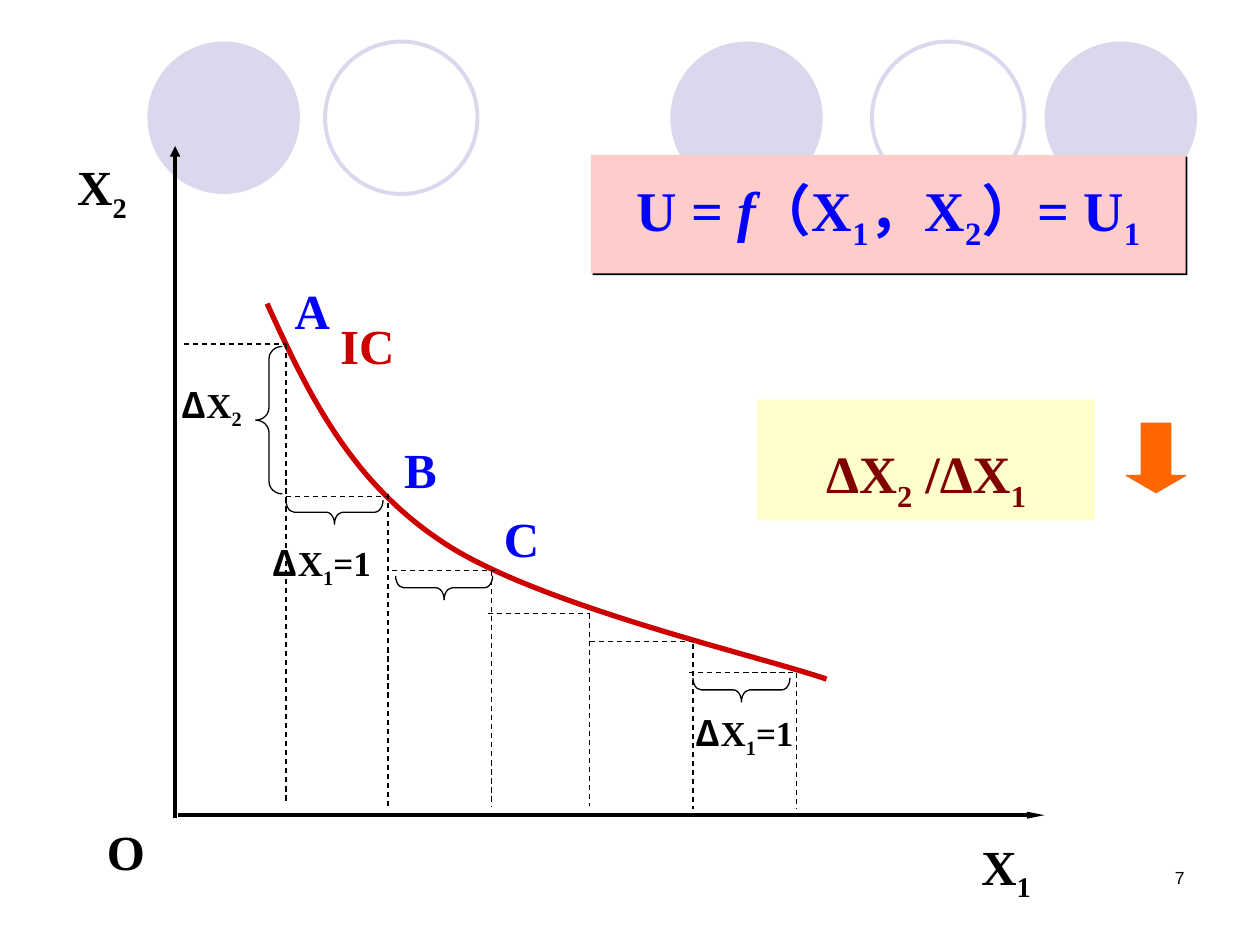
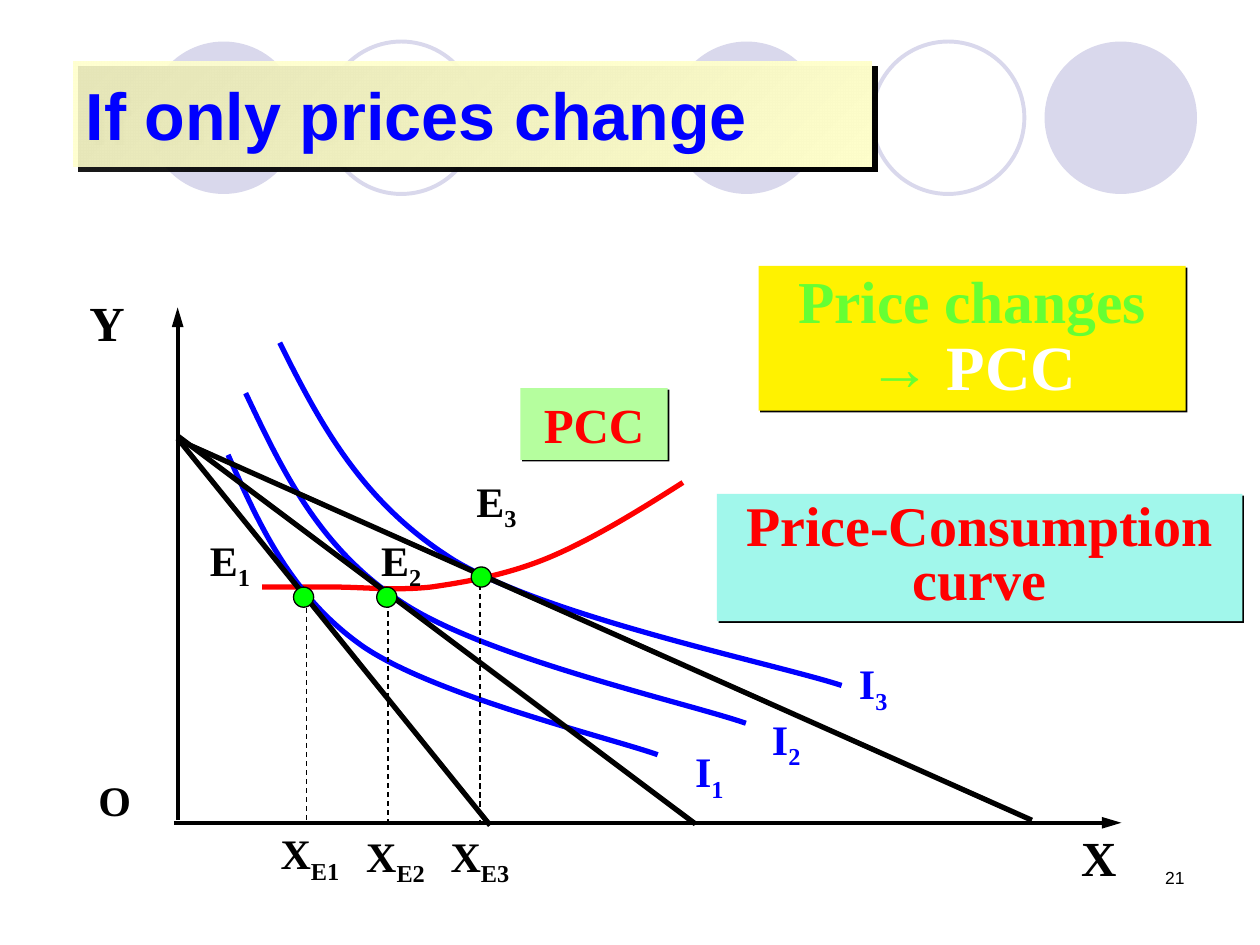
from lxml.etree import SubElement
from pptx import Presentation
from pptx.dml.color import RGBColor
from pptx.enum.dml import MSO_LINE
from pptx.enum.shapes import MSO_CONNECTOR, MSO_SHAPE as SHAPE
from pptx.enum.text import MSO_ANCHOR as ANCHOR, PP_ALIGN as ALIGN
from pptx.oxml.ns import qn
from pptx.util import Pt

PX = 9144
TITLE_ONLY, BLANK = 5, 6
SERIF, SANS, CJK = "Times New Roman", "Arial", "Noto Sans CJK SC"
BLACK, WHITE, BLUE, RED = "000000", "FFFFFF", "0000FF", "FF0000"
LILAC, CRIMSON, MAROON, ORANGE = "D9D8EC", "CC0000", "800000", "FF6600"
PINK, CREAM, YELLOW, AQUA = "FFCCCC", "FFFFCC", "FFF200", "A1F7EB"
MINT, LIME, GREEN = "B5FE9E", "66FF33", "00FF00"
DELTA = ("Δ", {"name": CJK})


def rgb(value):
    return RGBColor.from_string(value)


class Deck:
    def __init__(self):
        self.prs = Presentation()
        self.prs.slide_width = 1000 * PX
        self.prs.slide_height = 750 * PX
        self.s = None

    def slide(self, number, layout):
        self.s = self.prs.slides.add_slide(self.prs.slide_layouts[layout])
        for x in (532, 829, 117):
            self.shape(SHAPE.OVAL, (x, 33, 121, 121), fill=LILAC)
        for x in (692, 258):
            self.shape(SHAPE.OVAL, (x, 33, 121, 121), line=LILAC, weight=2.25)
        self.text((717, 683, 233, 50), str(number), size=10, font=SANS,
                  bold=False, align=ALIGN.RIGHT, pad=(10, 5))

    def outline(self, sp, color, weight):
        if color:
            sp.line.color.rgb = rgb(color)
            sp.line.width = Pt(weight)
        else:
            sp.line.fill.background()

    def shadow(self, sp, distance):
        sp.shadow.inherit = False
        effects = sp._element.spPr.find(qn("a:effectLst"))
        outer = SubElement(effects, qn("a:outerShdw"), blurRad="0",
                           dist=str(Pt(distance)), dir="2700000",
                           algn="ctr", rotWithShape="0")
        SubElement(outer, qn("a:srgbClr"), val=BLACK)

    def shape(self, kind, box, fill=None, line=None, weight=0.75,
              adjust=(), turn=0):
        sp = self.s.shapes.add_shape(kind, *[v * PX for v in box])
        sp.shadow.inherit = False
        sp.rotation = turn
        for i, value in enumerate(adjust):
            sp.adjustments[i] = value
        if fill:
            sp.fill.solid()
            sp.fill.fore_color.rgb = rgb(fill)
        else:
            sp.fill.background()
        self.outline(sp, line, weight)
        return sp

    def fill_text(self, tf, *parts, size=28, color=BLACK, font=SERIF,
                  bold=True, align=ALIGN.CENTER, anchor=ANCHOR.TOP,
                  pad=(0, 0), spacing=None, before=None, wrap=True):
        tf.word_wrap = wrap
        tf.vertical_anchor = anchor
        tf.margin_left = tf.margin_right = pad[0] * PX
        tf.margin_top = tf.margin_bottom = pad[1] * PX
        p = tf.paragraphs[0]
        p.alignment = align
        if spacing:
            p.line_spacing = spacing
        if before:
            p.space_before = Pt(before)
        p.font.name, p.font.size, p.font.bold = font, Pt(size), bold
        p.font.color.rgb = rgb(color)
        for part in parts:
            text, look = (part, {}) if isinstance(part, str) else part
            for i, chunk in enumerate(text.replace("]", "[").split("[")):
                if chunk:
                    self.add_run(p, chunk, i % 2, **look)

    def add_run(self, p, text, lowered, size=None, color=None, **look):
        r = p.add_run()
        r.text = text
        if "name" in look:
            r.font.name = look["name"]
        if "italic" in look:
            r.font.italic = look["italic"]
        if size:
            r.font.size = Pt(size)
        if color:
            r.font.color.rgb = rgb(color)
        if lowered:
            r._r.get_or_add_rPr().set("baseline", "-25000")

    def text(self, box, *parts, **style):
        sp = self.s.shapes.add_textbox(*[v * PX for v in box])
        self.fill_text(sp.text_frame, *parts, **style)

    def panel(self, box, fill, *parts, shadow=1.4, **style):
        sp = self.shape(SHAPE.RECTANGLE, box, fill)
        if shadow:
            self.shadow(sp, shadow)
        self.fill_text(sp.text_frame, *parts, **style)

    def title(self, box, text):
        sp = self.s.shapes.title
        self.s.shapes._spTree.append(sp._element)
        sp.left, sp.top, sp.width, sp.height = [v * PX for v in box]
        sp.fill.gradient()
        sp.fill.gradient_angle = 315
        for stop, color in zip(sp.fill.gradient_stops, (CREAM, "FFFFCD")):
            stop.color.rgb = rgb(color)
        first = next(sp._element.spPr.iter(qn("a:srgbClr")))
        SubElement(first, qn("a:alpha"), val="89000")
        self.shadow(sp, 4.2)
        self.fill_text(sp.text_frame, text, size=38, color=BLUE, font=SANS,
                       align=ALIGN.LEFT, anchor=ANCHOR.MIDDLE, pad=(10, 5))

    def line(self, x1, y1, x2, y2, weight=0.75, dash=False, arrow=None):
        c = self.s.shapes.add_connector(
            MSO_CONNECTOR.STRAIGHT, *[v * PX for v in (x1, y1, x2, y2)])
        self.outline(c, BLACK, weight)
        if dash:
            c.line.dash_style = MSO_LINE.DASH
        if arrow:
            width, length = arrow
            SubElement(c._element.spPr.find(qn("a:ln")), qn("a:tailEnd"),
                       type="triangle", w=width, len=length)
        SubElement(c._element.spPr, qn("a:effectLst"))

    def curve(self, color, start, *points):
        builder = self.s.shapes.build_freeform(*start, scale=PX)
        builder.add_line_segments(points, close=False)
        sp = builder.convert_to_shape()
        sp.shadow.inherit = False
        sp.fill.background()
        self.outline(sp, color, 3)
        steps = list(sp._element.iter(qn("a:lnTo")))
        for i in range(0, len(steps), 3):
            bezier = SubElement(steps[i].getparent(), qn("a:cubicBezTo"))
            for step in steps[i:i + 3]:
                bezier.append(step[0])
                step.getparent().remove(step)


def marginal_rate(d):
    d.slide(7, BLANK)
    d.panel((469, 123, 472, 94), PINK, "U = ", ("f", {"italic": True}),
            "（X[1]，X[2]）= U[1]", size=32, color=BLUE,
            anchor=ANCHOR.MIDDLE, before=8, wrap=False)
    d.line(139, 649, 139, 116, weight=2, arrow=("med", "med"))
    d.line(141, 647, 829, 647, weight=2, arrow=("sm", "lg"))
    d.curve(CRIMSON, (212, 241), (244, 311), (277, 381), (351, 430),
            (425, 480), (604, 521), (656, 539))
    for left, right, y in ((146, 227, 273), (227, 308, 394), (311, 393, 453),
                           (387, 468, 487), (468, 550, 509), (547, 629, 534)):
        d.line(left, y, right, y, dash=True)
    for x, top, bottom in ((227, 273, 638), (308, 392, 640), (390, 453, 640),
                           (468, 487, 640), (550, 511, 642), (632, 534, 642)):
        d.line(x, top, x, bottom, dash=True)
    d.shape(SHAPE.LEFT_BRACE, (203, 275, 21, 117), line=BLACK,
            adjust=(0.47, 0.5))
    for x, y in ((256, 368), (343, 428), (579, 509)):
        d.shape(SHAPE.LEFT_BRACE, (x, y, 19, 77), line=BLACK,
                adjust=(0.34, 0.5), turn=270)
    for box, label in (((758, 659, 81, 63), "X[1]"),
                       ((36, 116, 90, 70), "X[2]"),
                       ((67, 643, 66, 65), "O")):
        d.text(box, label, anchor=ANCHOR.MIDDLE)
    for box, label in (((206, 430, 99, 58), "X[1]=1"),
                       ((115, 304, 106, 61), "X[2]"),
                       ((541, 565, 100, 54), "X[1]=1")):
        d.text(box, DELTA, label, size=20)
    d.text((251, 250, 81, 45), "IC", color=CRIMSON)
    for x, y, label in ((224, 218, "A"), (311, 344, "B"), (390, 399, "C")):
        d.text((x, y, 55, 57), label, color=BLUE, align=ALIGN.LEFT,
               pad=(10, 5), before=17.5)
    d.panel((601, 317, 268, 96), CREAM, "ΔX[2] /ΔX[1]", shadow=None, size=30,
            color=MAROON, pad=(10, 5), spacing=1.5, before=18.7)
    d.shape(SHAPE.DOWN_ARROW, (894, 336, 47, 55), ORANGE, ORANGE,
            adjust=(0.5, 0.29))


def price_consumption(d):
    d.slide(21, TITLE_ONLY)
    d.curve(RED, (208, 466), (226, 466), (243, 466), (265, 466),
            (288, 466), (313, 469), (342, 466), (370, 462), (404, 456),
            (437, 442), (470, 428), (506, 406), (542, 383))
    d.title((58, 49, 634, 83), "If only prices change")
    d.panel((413, 308, 117, 57), MINT, "PCC", color=RED, pad=(10, 5),
            before=17.5)
    d.panel((569, 392, 417, 101), AQUA, "Price-Consumption curve", size=32,
            color=RED, anchor=ANCHOR.MIDDLE, pad=(10, 5), spacing=0.8)
    d.panel((602, 211, 339, 115), YELLOW, ("Price changes", {"size": 34}),
            (" ", {"size": 32}), "→ ", ("PCC", {"color": WHITE}), size=36,
            color=LIME, pad=(10, 5), spacing=0.9)
    d.line(141, 651, 141, 244, weight=2.25, arrow=("med", "lg"))
    d.line(138, 653, 890, 653, weight=2.25, arrow=("med", "lg"))
    d.curve(BLUE, (181, 361), (206, 417), (231, 473), (288, 513),
            (345, 552), (482, 585), (522, 599))
    d.curve(BLUE, (195, 312), (224, 373), (253, 435), (319, 478),
            (385, 522), (546, 558), (592, 574))
    d.curve(BLUE, (222, 272), (254, 336), (287, 399), (361, 445),
            (436, 490), (616, 527), (668, 544))
    for y1, x2, y2 in ((348, 389, 655), (346, 552, 654), (349, 819, 651)):
        d.line(141, y1, x2, y2, weight=3)
    for x, top, bottom in ((243, 475, 655), (308, 471, 653), (381, 457, 657)):
        d.line(x, top, x, bottom, dash=True)
    for x, y, label, size in ((811, 657, "X", 28), (24, 232, "Y", 28),
                              (30, 615, "O", 24)):
        d.text((x, y, 122, 69), label, size=size)
    for box, label in (((535, 592, 56, 51), "I[1]"),
                       ((598, 566, 52, 48), "I[2]"),
                       ((662, 522, 62, 57), "I[3]")):
        d.text(box, label, size=24, color=BLUE)
    for box, label in (((157, 424, 51, 47), "E[1]"),
                       ((291, 424, 55, 50), "E[2]"),
                       ((366, 377, 56, 51), "E[3]"),
                       ((208, 657, 76, 69), "X[E1]"),
                       ((276, 659, 76, 69), "X[E2]"),
                       ((343, 659, 76, 69), "X[E3]")):
        d.text(box, label, size=24)
    for x, y in ((233, 466), (299, 466), (374, 450)):
        d.shape(SHAPE.OVAL, (x, y, 16, 16), GREEN, BLACK)


def main():
    d = Deck()
    marginal_rate(d)
    price_consumption(d)
    d.prs.save("out.pptx")


if __name__ == "__main__":
    main()
